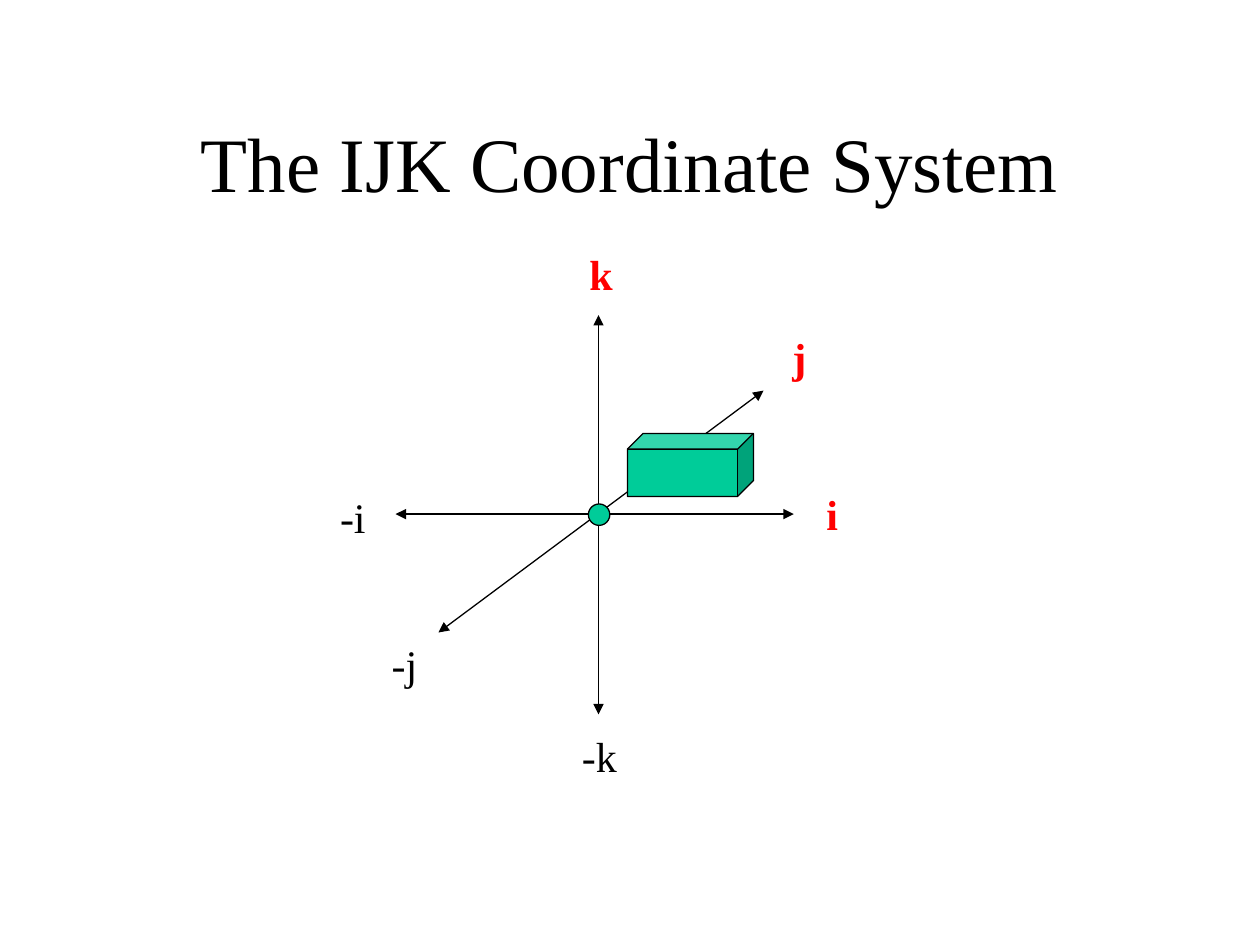
from pptx import Presentation
from pptx.dml.color import RGBColor
from pptx.enum.shapes import MSO_CONNECTOR, MSO_SHAPE
from pptx.enum.text import MSO_ANCHOR, MSO_AUTO_SIZE, PP_ALIGN
from pptx.oxml.ns import qn
from pptx.util import Inches, Pt
from lxml.etree import SubElement

THEME = {
    "font": "Times New Roman",
    "ink": RGBColor(0x00, 0x00, 0x00),
    "positive": RGBColor(0xFF, 0x00, 0x00),
    "solid": RGBColor(0x00, 0xCC, 0x99),
    "title_size": Pt(44),
    "label_size": Pt(24),
    "line_width": Pt(0.74),
}

presentation = Presentation()
presentation.slide_width, presentation.slide_height = Inches(10), Inches(7.5)
slide = presentation.slides.add_slide(presentation.slide_layouts[6])


def add_text(text, left, top, width, height, size=THEME["label_size"],
             color=THEME["ink"], bold=False, align=PP_ALIGN.LEFT,
             anchor=MSO_ANCHOR.TOP, wrap=False):
    """Add a text box, with its place in inches."""
    box = slide.shapes.add_textbox(*map(Inches, (left, top, width, height)))
    frame = box.text_frame
    frame.word_wrap = wrap
    frame.auto_size = MSO_AUTO_SIZE.NONE
    frame.vertical_anchor = anchor
    paragraph = frame.paragraphs[0]
    paragraph.alignment = align
    run = paragraph.add_run()
    run.text = text
    run.font.name = THEME["font"]
    run.font.size = size
    run.font.bold = bold
    run.font.color.rgb = color


def outline(part):
    """Give a shape or line the thin dark stroke."""
    part.line.color.rgb = THEME["ink"]
    part.line.width = THEME["line_width"]


add_text("The IJK Coordinate System", 0.75, 0.66, 8.5, 1.25,
         size=THEME["title_size"], align=PP_ALIGN.CENTER,
         anchor=MSO_ANCHOR.MIDDLE, wrap=True)

axis_labels = [
    ("i", 6.46, 3.83, 0.29),
    ("j", 6.19, 2.58, 0.31),
    ("k", 4.58, 1.92, 0.39),
    ("-k", 4.52, 5.75, 0.49),
    ("-j", 3.01, 5.02, 0.42),
    ("-i", 2.6, 3.85, 0.42),
]
for label, left, top, width in axis_labels:
    positive = not label.startswith("-")
    add_text(label, left, top, width, 0.5, bold=positive,
             color=THEME["positive"] if positive else THEME["ink"])

axis_ends = [
    (3.14, 4.08, 6.3, 4.08),
    (4.75, 5.67, 4.75, 2.5),
    (3.48, 5.02, 6.06, 3.1),
]
for ends in axis_ends:
    axis = slide.shapes.add_connector(MSO_CONNECTOR.STRAIGHT, *map(Inches, ends))
    outline(axis)
    stroke = axis.line._get_or_add_ln()
    for arrowhead in ("a:headEnd", "a:tailEnd"):
        SubElement(stroke, qn(arrowhead), type="triangle")
    SubElement(axis._element.spPr, qn("a:effectLst"))

solids = [
    (MSO_SHAPE.OVAL, 4.67, 4, 0.17, 0.17),
    (MSO_SHAPE.CUBE, 4.98, 3.44, 1, 0.5),
]
for kind, *place in solids:
    solid = slide.shapes.add_shape(kind, *map(Inches, place))
    solid.shadow.inherit = False
    solid.fill.solid()
    solid.fill.fore_color.rgb = THEME["solid"]
    outline(solid)

presentation.save("out.pptx")
